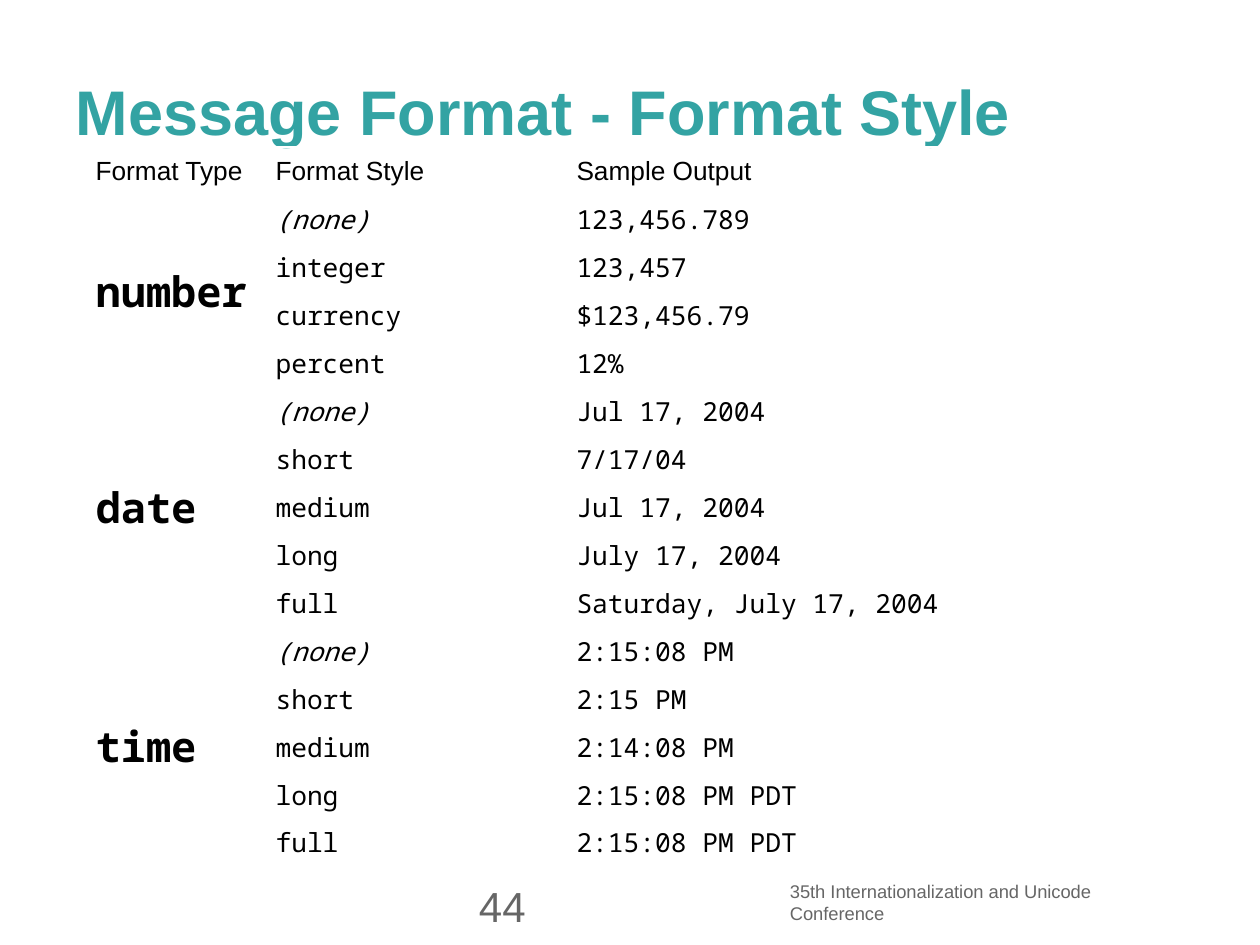
from pptx import Presentation
from pptx.dml.color import RGBColor
from pptx.enum.text import MSO_ANCHOR
from pptx.util import Emu, Pt

MIDDLE, TOP = MSO_ANCHOR.MIDDLE, MSO_ANCHOR.TOP
PX_PER_INCH = 126
COLORS = {"title": "33A3A3", "text": "000000", "footer": "666666"}
SANS, MONO = "Arial", "Noto Sans Mono"

HEADINGS = ["Format Type", "Format Style", "Sample Output"]
FORMATS = {
    "number": [
        ("(none)", "123,456.789"),
        ("integer", "123,457"),
        ("currency", "$123,456.79"),
        ("percent", "12%"),
    ],
    "date": [
        ("(none)", "Jul 17, 2004"),
        ("short", "7/17/04"),
        ("medium", "Jul 17, 2004"),
        ("long", "July 17, 2004"),
        ("full", "Saturday, July 17, 2004"),
    ],
    "time": [
        ("(none)", "2:15:08 PM"),
        ("short", "2:15 PM"),
        ("medium", "2:14:08 PM"),
        ("long", "2:15:08 PM PDT"),
        ("full", "2:15:08 PM PDT"),
    ],
}


def px(length):
    return Emu(round(length * 914400 / PX_PER_INCH))


class SlideBuilder:
    def __init__(self, slide):
        self.slide = slide

    def run(self, frame, text, size, font=SANS, color="text", bold=False, italic=False):
        run = frame.paragraphs[0].add_run()
        run.text = text
        run.font.size = Pt(size)
        run.font.name = font
        run.font.bold = bold
        run.font.italic = italic
        run.font.color.rgb = RGBColor.from_string(COLORS[color])

    def text_box(self, box, text, size, color, bold=False, anchor=TOP, margins=(0, 0)):
        frame = self.slide.shapes.add_textbox(*map(px, box)).text_frame
        frame.word_wrap = True
        frame.vertical_anchor = anchor
        frame.margin_left = frame.margin_right = px(margins[0])
        frame.margin_top = frame.margin_bottom = px(margins[1])
        self.run(frame, text, size, color=color, bold=bold)

    def table(self, left, top, widths, row_height, row_count):
        shape = self.slide.shapes.add_table(
            row_count, len(widths), px(left), px(top),
            px(sum(widths)), px(row_height * row_count))
        table = shape.table
        table.first_row = table.horz_banding = False
        for column, width in zip(table.columns, widths):
            column.width = px(width)
        for row in table.rows:
            row.height = px(row_height)
        for cell in table.iter_cells():
            cell.fill.background()
            cell.vertical_anchor = MIDDLE
        return table

    def cell(self, cell, text, size=15, font=MONO, **style):
        self.run(cell.text_frame, text, size, font, **style)


def main():
    presentation = Presentation()
    presentation.slide_width, presentation.slide_height = px(1260), px(945)
    builder = SlideBuilder(presentation.slides.add_slide(presentation.slide_layouts[6]))

    # Title
    builder.text_box((63, 63, 1134, 95), "Message Format - Format Style", 36, "title",
                     bold=True, anchor=MIDDLE, margins=(13, 6))

    # Table heading
    row_count = 1 + sum(len(styles) for styles in FORMATS.values())
    table = builder.table(83, 147, (180, 301, 561), 48, row_count)
    for column, heading in enumerate(HEADINGS):
        builder.cell(table.cell(0, column), heading, font=SANS)

    # One merged type cell beside the styles of each format
    row = 1
    for format_type, styles in FORMATS.items():
        type_cell = table.cell(row, 0)
        type_cell.merge(table.cell(row + len(styles) - 1, 0))
        builder.cell(type_cell, format_type, size=24, bold=True)
        for style, sample in styles:
            builder.cell(table.cell(row, 1), style, italic=style == "(none)")
            builder.cell(table.cell(row, 2), sample)
            row += 1

    # Footer and page number
    builder.text_box((790, 880, 378, 45),
                     "35th Internationalization and Unicode Conference", 10.5, "footer")
    builder.text_box((479, 880, 302, 47), "44", 24, "footer")

    presentation.save("out.pptx")


if __name__ == "__main__":
    main()
